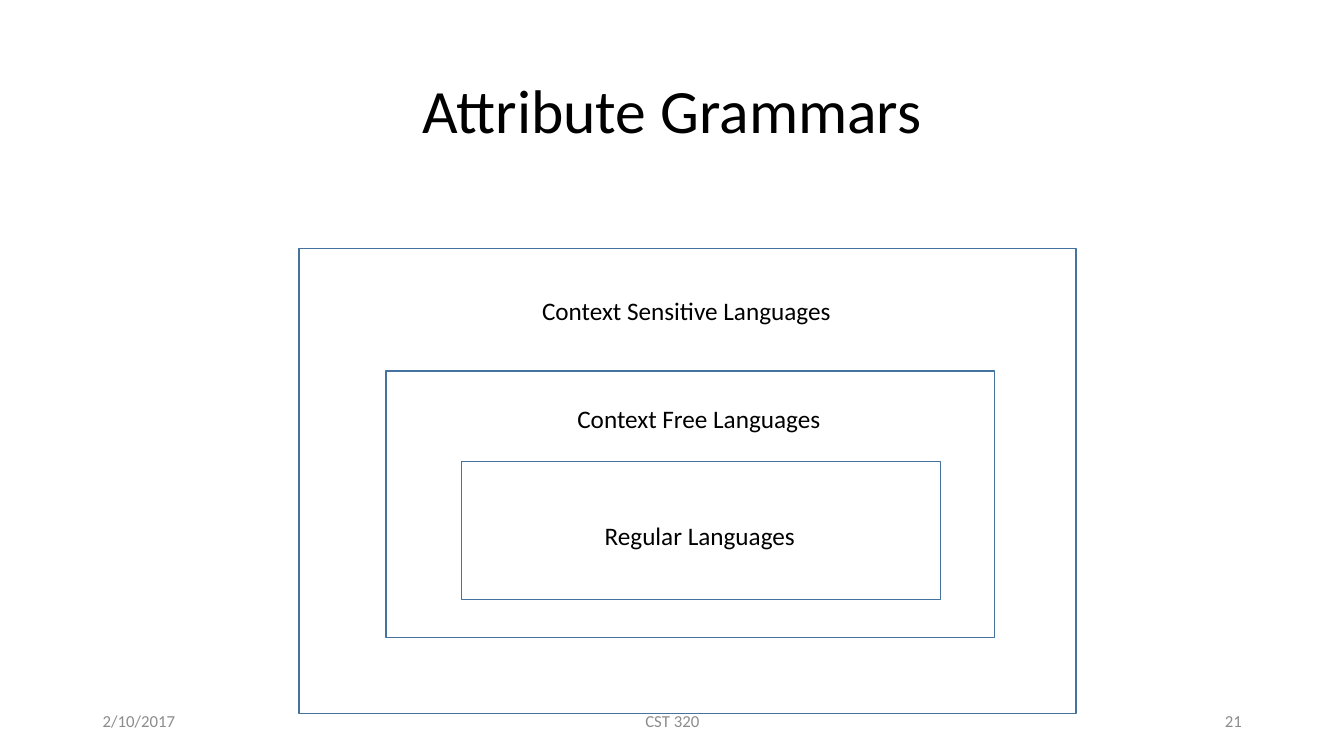
from dataclasses import dataclass

from pptx import Presentation
from pptx.dml.color import RGBColor
from pptx.enum.shapes import MSO_SHAPE
from pptx.enum.text import MSO_ANCHOR, MSO_AUTO_SIZE, PP_ALIGN
from pptx.slide import Slide
from pptx.util import Cm, Pt

RECTANGLE = MSO_SHAPE.RECTANGLE
LEFT, CENTER, RIGHT = PP_ALIGN.LEFT, PP_ALIGN.CENTER, PP_ALIGN.RIGHT
TOP, MIDDLE = MSO_ANCHOR.TOP, MSO_ANCHOR.MIDDLE
FIT_SHAPE, NO_FIT = MSO_AUTO_SIZE.SHAPE_TO_FIT_TEXT, MSO_AUTO_SIZE.NONE

FONT = "Calibri"
BLACK, GRAY, BLUE = "000000", "8C8C8C", "43739E"
LINE_HEIGHT = 1.02
FOOTER_TOP = 17.65


@dataclass(frozen=True)
class Area:
    """Left, top, width and height in centimetres."""
    left: float
    top: float
    width: float
    height: float = LINE_HEIGHT

    def lengths(self) -> tuple[Cm, Cm, Cm, Cm]:
        return Cm(self.left), Cm(self.top), Cm(self.width), Cm(self.height)


@dataclass(frozen=True)
class Caption:
    text: str
    area: Area
    size: int = 18
    color: str = BLACK
    align: PP_ALIGN = LEFT
    anchor: MSO_ANCHOR = TOP
    wrap: bool = False
    spacing: float = 1.0


@dataclass(frozen=True)
class LanguageClass:
    frame: Area
    caption: Caption


def rgb(color: str) -> RGBColor:
    return RGBColor.from_string(color)


def apply_format(target: object, values: dict[str, object]) -> None:
    for attribute, value in values.items():
        setattr(target, attribute, value)


def draw_caption(slide: Slide, caption: Caption) -> None:
    text_frame = slide.shapes.add_textbox(*caption.area.lengths()).text_frame
    apply_format(text_frame, {
        "word_wrap": caption.wrap,
        "auto_size": NO_FIT if caption.wrap else FIT_SHAPE,
        "vertical_anchor": caption.anchor,
    })
    paragraph = text_frame.paragraphs[0]
    apply_format(paragraph, {
        "text": caption.text,
        "alignment": caption.align,
        "line_spacing": caption.spacing,
    })
    font = paragraph.runs[0].font
    apply_format(font, {"name": FONT, "size": Pt(caption.size)})
    font.color.rgb = rgb(caption.color)


def draw_frame(slide: Slide, area: Area) -> None:
    frame = slide.shapes.add_shape(RECTANGLE, *area.lengths())
    frame.shadow.inherit = False
    frame.fill.background()
    frame.line.color.rgb = rgb(BLUE)
    frame.line.width = Pt(1)


def footer(text: str, left: float, width: float, align: PP_ALIGN) -> Caption:
    return Caption(text, Area(left, FOOTER_TOP, width), 12, GRAY, align, MIDDLE, True)


TITLE = Caption("Attribute Grammars", Area(2.34, 1.02, 29.21, 3.68),
                44, BLACK, CENTER, MIDDLE, True, 0.9)

# Nested language classes, from the widest to the narrowest
LANGUAGE_CLASSES = [
    LanguageClass(Area(7.54, 6.27, 19.58, 11.71),
                  Caption("Context Sensitive Languages", Area(13.41, 7.32, 7.87))),
    LanguageClass(Area(9.73, 9.35, 15.34, 6.71),
                  Caption("Context Free Languages", Area(14.3, 10.03, 6.71))),
    LanguageClass(Area(11.63, 11.63, 12.07, 3.48),
                  Caption("Regular Languages", Area(14.99, 12.98, 5.36))),
]

FOOTERS = [
    footer("2/10/2017", 2.34, 7.62, LEFT),
    footer("CST 320", 11.23, 11.43, CENTER),
    footer("21", 23.93, 7.62, RIGHT),
]

presentation = Presentation()
apply_format(presentation, {"slide_width": Cm(33.87), "slide_height": Cm(19.05)})
grammar_slide = presentation.slides.add_slide(presentation.slide_layouts[6])

# Title
draw_caption(grammar_slide, TITLE)

# Language hierarchy
for language_class in LANGUAGE_CLASSES:
    draw_frame(grammar_slide, language_class.frame)
    draw_caption(grammar_slide, language_class.caption)

# Footer
for footer_caption in FOOTERS:
    draw_caption(grammar_slide, footer_caption)

presentation.save("out.pptx")
